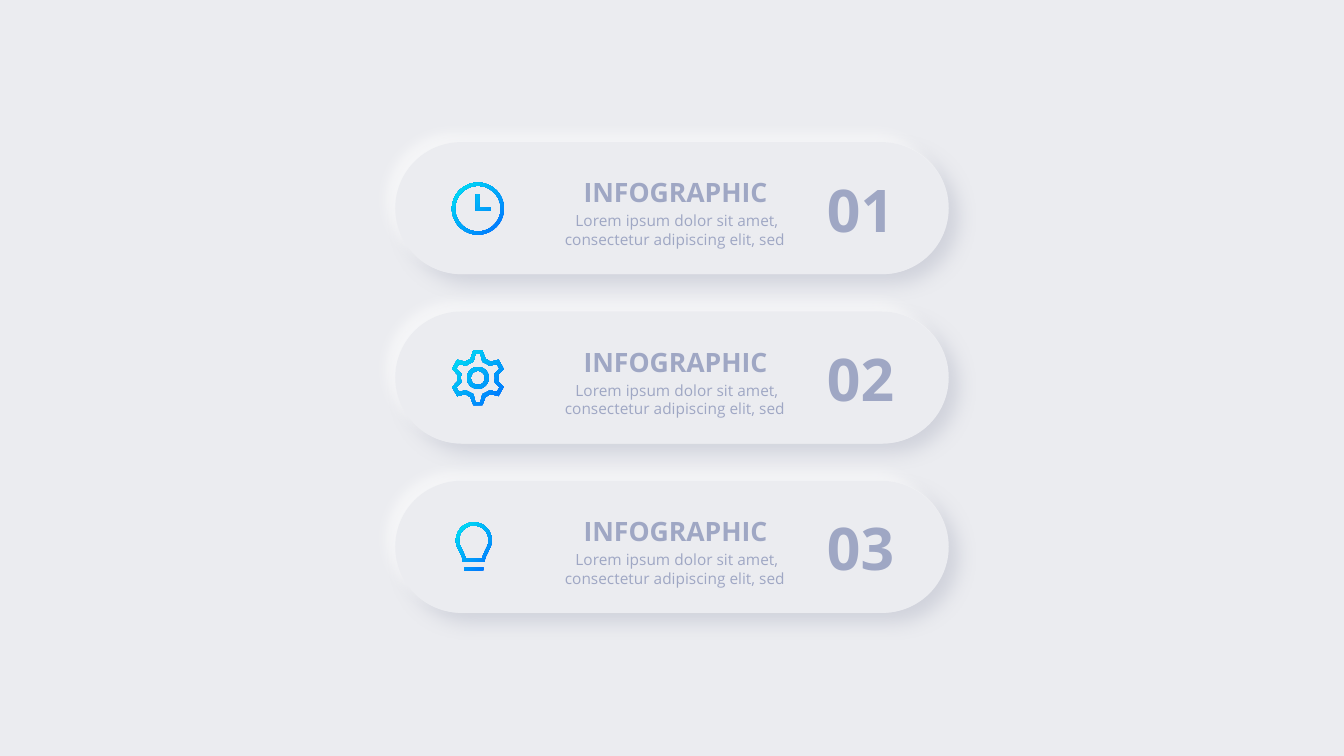
import dataclasses
import math

import lxml.etree
import pptx
import pptx.dml.color
import pptx.enum.shapes
import pptx.enum.text
import pptx.oxml.ns
import pptx.util

Inches = pptx.util.Inches


@dataclasses.dataclass(frozen=True)
class Theme:
    font: str = "Open Sans"
    surface: str = "EBECF0"
    ink: str = "9FA7C4"
    gradient: tuple = ("006EFF", "00E6F2")
    title_size: int = 19
    number_size: int = 42
    body_size: int = 11
    # Colour, opacity in percent, blur in points, direction in degrees, pill left in inches
    shadows: tuple = (("ACB0C0", 42, 14, 45, 3.93), ("FFFFFF", 56, 9, 225, 3.92))
    shadow_distance: int = 9


theme = Theme()
color = pptx.dml.color.RGBColor.from_string


def arc(radius, center_y=0, start=0, end=360):
    """Points along an arc, in hundredths of an inch."""
    return [
        (radius * math.cos(math.radians(angle)), center_y + radius * math.sin(math.radians(angle)))
        for angle in range(start, end + 1, 5)
    ]


def mirror(quarter):
    """Closed outline from its upper right quarter, listed clockwise."""
    right = quarter + [(x, -y) for x, y in reversed(quarter)]
    return right + [(-x, y) for x, y in reversed(right)]


# Icon outlines around their centres, in hundredths of an inch
clock = [
    arc(25.8),
    arc(22.6),
    [(12.5, 2), (-2, 2), (-2, -14), (1.5, -14), (1.5, -1.5), (12.5, -1.5)],
]
gear = [
    mirror([(4.5, -27), (7.5, -19), (12.5, -16), (20.5, -18), (25.5, -9), (20, -3), (20.5, 0)]),
    mirror([(2.5, -24), (4.5, -16), (10.5, -13), (11.5, -12), (18.5, -14),
            (21.5, -9.5), (16.5, -4), (17, 0)]),
    arc(10.8),
    arc(7),
]
bulb = [
    [(-9.5, 20), (9.5, 20), (9.5, 23), (-9.5, 23)],
    arc(17.8, -7, 150, 390) + [(12, 9), (11, 12), (11, 14.5), (-11, 14.5), (-11, 12), (-12, 9)],
    arc(14.6, -7, 150, 390) + [(9.5, 7), (8, 11), (-8, 11), (-9.5, 7)],
]

# Page
deck = pptx.Presentation()
deck.slide_width, deck.slide_height = Inches(13.33), Inches(7.5)
page = deck.slides.add_slide(deck.slide_layouts[6])
page.background.fill.solid()
page.background.fill.fore_color.rgb = color(theme.surface)

first_top, row_pitch = 1.41, 1.68
rows = [("01", clock, 4.74), ("02", gear, 4.74), ("03", bulb, 4.7)]

for index, (number, icon, icon_x) in enumerate(rows):
    top = first_top + index * row_pitch

    # Raised pill: one dark and one light shadow
    pill_group = page.shapes.add_group_shape()
    for shade, opacity, blur, direction, pill_left in theme.shadows:
        pill = pill_group.shapes.add_shape(
            pptx.enum.shapes.MSO_SHAPE.ROUNDED_RECTANGLE,
            Inches(pill_left), Inches(top), Inches(5.48), Inches(1.31))
        pill.adjustments[0] = 0.5
        pill.fill.solid()
        pill.fill.fore_color.rgb = color(theme.surface)
        pill.line.fill.background()
        pill.shadow.inherit = False
        effects = pill.element.spPr.find(pptx.oxml.ns.qn("a:effectLst"))
        shadow = lxml.etree.SubElement(
            effects, pptx.oxml.ns.qn("a:outerShdw"),
            blurRad=str(pptx.util.Pt(blur)), dist=str(pptx.util.Pt(theme.shadow_distance)),
            dir=str(direction * 60000), algn="ctr", rotWithShape="0")
        tint = lxml.etree.SubElement(shadow, pptx.oxml.ns.qn("a:srgbClr"), val=shade)
        lxml.etree.SubElement(tint, pptx.oxml.ns.qn("a:alpha"), val=str(opacity * 1000))

    # Icon
    contours = [[(Inches(x / 100), Inches(y / 100)) for x, y in contour] for contour in icon]
    builder = page.shapes.build_freeform(*contours[0][0])
    builder.add_line_segments(contours[0][1:])
    for contour in contours[1:]:
        builder.move_to(*contour[0])
        builder.add_line_segments(contour[1:])
    symbol = builder.convert_to_shape(Inches(icon_x), Inches(top + 0.66))
    symbol.fill.gradient()
    symbol.fill.gradient_angle = 135
    for stop, shade in zip(symbol.fill.gradient_stops, theme.gradient):
        stop.color.rgb = color(shade)
    symbol.line.fill.background()
    symbol.shadow.inherit = False

    # Title, number and body: left, offset from pill top, width, height, size, bold, wrap
    labels = [
        ("INFOGRAPHIC", 5.78, 0.34, 1.84, 0.32, theme.title_size, True, False),
        (number, 8.2, 0.31, 0.67, 0.71, theme.number_size, True, False),
        ("Lorem ipsum dolor sit amet, consectetur adipiscing elit, sed ",
         5.45, 0.64, 2.53, 0.47, theme.body_size, False, True),
    ]
    for text, left, offset, width, height, size, bold, wrap in labels:
        box = page.shapes.add_textbox(
            Inches(left), Inches(top + offset), Inches(width), Inches(height))
        frame = box.text_frame
        frame.word_wrap = wrap
        frame.auto_size = pptx.enum.text.MSO_AUTO_SIZE.SHAPE_TO_FIT_TEXT
        if not wrap:
            frame.margin_left = frame.margin_right = 0
            frame.margin_top = frame.margin_bottom = 0
        para = frame.paragraphs[0]
        para.alignment = pptx.enum.text.PP_ALIGN.CENTER
        span = para.add_run()
        span.text = text
        span.font.name = theme.font
        span.font.size = pptx.util.Pt(size)
        span.font.bold = bold
        span.font.color.rgb = color(theme.ink)

deck.save("out.pptx")
